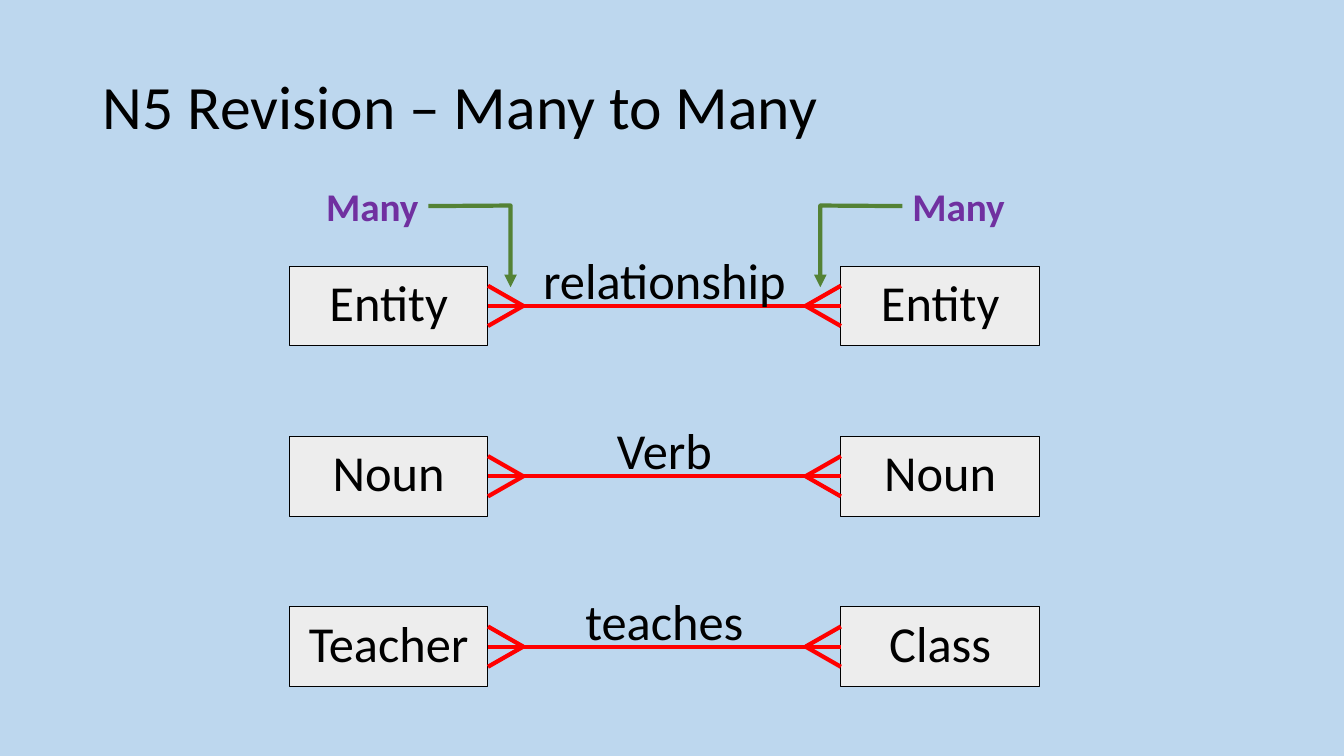
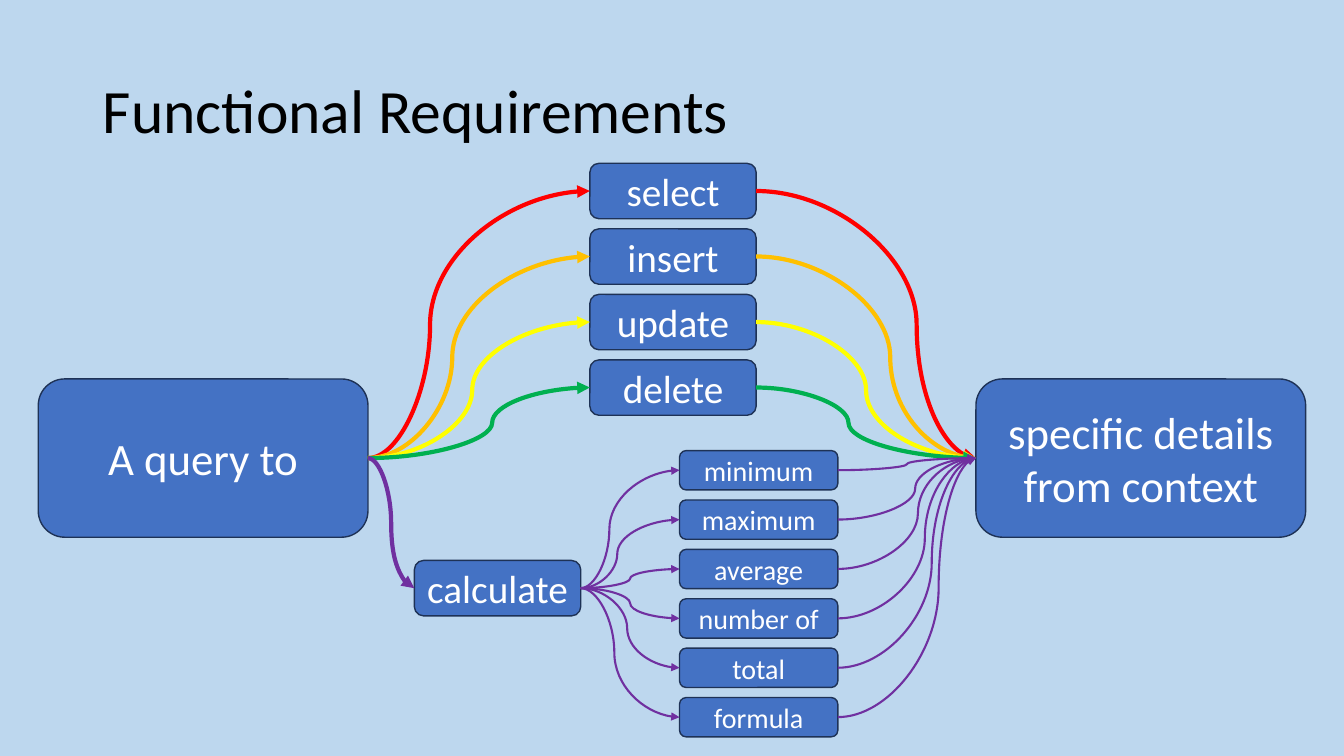
from lxml import etree
from pptx import Presentation
from pptx.dml.color import RGBColor
from pptx.enum.shapes import MSO_CONNECTOR, MSO_SHAPE
from pptx.enum.text import MSO_ANCHOR, MSO_AUTO_SIZE, PP_ALIGN
from pptx.oxml.ns import qn
from pptx.util import Inches, Pt

STRAIGHT, CURVE = MSO_CONNECTOR.STRAIGHT, MSO_CONNECTOR.CURVE
RECT, ROUND = MSO_SHAPE.RECTANGLE, MSO_SHAPE.ROUNDED_RECTANGLE
CALLOUT = MSO_SHAPE.LINE_CALLOUT_2_NO_BORDER
TOP, MIDDLE = MSO_ANCHOR.TOP, MSO_ANCHOR.MIDDLE
LEFT, CENTER, RIGHT = PP_ALIGN.LEFT, PP_ALIGN.CENTER, PP_ALIGN.RIGHT
GROW = MSO_AUTO_SIZE.SHAPE_TO_FIT_TEXT
ON_LEFT, ON_RIGHT = 1, 3

FONT = "Calibri"
COLORS = {
    "back": "BDD7EE", "black": "000000", "white": "FFFFFF",
    "grey": "EDEDED", "blue": "4472C4", "navy": "1E3256",
    "red": "FF0000", "orange": "FFC000", "yellow": "FFFF00",
    "green": "00B050", "olive": "548235", "purple": "7030A0",
}

ROWS = [
    ("Entity", "relationship", "Entity"),
    ("Noun", "Verb", "Noun"),
    ("Teacher", "teaches", "Class"),
]
VERBS = [
    ("select", "red", 0.28, 0.73),
    ("insert", "orange", 0.38, 0.61),
    ("update", "yellow", 0.47, 0.5),
    ("delete", "green", 0.56, 0.42),
]
SUMS = [
    ("minimum", 0.29, 0.5),
    ("maximum", 0.37, 0.56),
    ("average", 0.5, 0.58),
    ("number of", 0.5, 0.63),
    ("total", 0.47, 0.68),
    ("formula", 0.34, 0.73),
]


def rgb(name):
    return RGBColor.from_string(COLORS[name])


def write(shape, text, size, color="black", align=CENTER, anchor=MIDDLE,
          wrap=True, bold=False):
    frame = shape.text_frame
    frame.text = text
    frame.word_wrap = wrap
    frame.vertical_anchor = anchor
    para = frame.paragraphs[0]
    para.alignment = align
    font = para.font
    font.name, font.size, font.bold = FONT, Pt(size), bold
    font.color.rgb = rgb(color)
    return para


def stroke(item, color, width, arrow=False):
    item.line.color.rgb = rgb(color)
    item.line.width = Pt(width)
    if arrow:
        edge = item.line._get_or_add_ln()
        etree.SubElement(edge, qn("a:tailEnd"), type="triangle")


def add_title(slide, text, top):
    title = slide.shapes.title
    title.left, title.top = Inches(0.92), Inches(top)
    title.width, title.height = Inches(11.5), Inches(1.45)
    write(title, text, 44, align=LEFT).line_spacing = 0.9


def add_shape(slide, kind, box):
    shape = slide.shapes.add_shape(kind, *map(Inches, box))
    shape.shadow.inherit = False
    return shape


def add_box(slide, text, box):
    shape = add_shape(slide, RECT, box)
    shape.fill.solid()
    shape.fill.fore_color.rgb = rgb("grey")
    stroke(shape, "black", 0.75)
    write(shape, text, 36, anchor=TOP, wrap=False)
    return shape


def add_node(slide, text, size, box):
    shape = add_shape(slide, ROUND, box)
    shape.fill.solid()
    shape.fill.fore_color.rgb = rgb("blue")
    stroke(shape, "navy", 1)
    write(shape, text, size, "white")
    return shape


def add_label(slide, text, box):
    label = slide.shapes.add_textbox(*map(Inches, box))
    write(label, text, 36, anchor=TOP, wrap=False)
    label.text_frame.auto_size = GROW


def add_many(slide, left, align, flip=False):
    shape = add_shape(slide, CALLOUT, (left, 1.78, 1.18, 0.53))
    for i, value in enumerate((0.5, 0, 0.49, -0.69, 2.02, -0.69)):
        shape.adjustments[i] = value
    shape.fill.background()
    stroke(shape, "olive", 3, arrow=True)
    if flip:
        shape._element.spPr.find(qn("a:xfrm")).set("flipH", "1")
    write(shape, "Many", 28, "purple", align, bold=True)


def add_line(slide, kind, ends, color, width, arrow=False):
    line = slide.shapes.add_connector(kind, *map(Inches, ends))
    stroke(line, color, width, arrow)
    etree.SubElement(line._element.spPr, qn("a:effectLst"))
    return line


def join(line, start, end):
    line.begin_connect(start, ON_RIGHT)
    line.end_connect(end, ON_LEFT)


def add_curve(slide, start, end, color, width, bend):
    line = add_line(slide, CURVE, (0, 0, 1, 1), color, width, arrow=True)
    join(line, start, end)
    geom = line._element.spPr.find(qn("a:prstGeom"))
    guides = geom.find(qn("a:avLst"))
    if guides is None:
        guides = etree.SubElement(geom, qn("a:avLst"))
    etree.SubElement(guides, qn("a:gd"), name="adj1",
                     fmla=f"val {round(bend * 100000)}")


def add_row(slide, texts, top):
    width, height, near, far = 1.97, 0.79, 4.84, 8.34
    first, verb, last = texts
    start = add_box(slide, first, (near - width, top, width, height))
    end = add_box(slide, last, (far, top, width, height))
    mid = top + height / 2
    join(add_line(slide, STRAIGHT, (near, mid, far, mid), "red", 3),
         start, end)
    for side, tip in ((near, near + 0.35), (far, far - 0.35)):
        for rise in (-0.2, 0.2):
            add_line(slide, STRAIGHT, (tip, mid, side, mid + rise), "red", 3)
    add_label(slide, verb, (near + 0.43, top - 0.22, far - near - 0.86, 0.71))


def draw_many(slide):
    add_title(slide, "N5 Revision – Many to Many", 0.36)
    add_many(slide, 8.95, LEFT)
    add_many(slide, 3.07, RIGHT, flip=True)
    for i, texts in enumerate(ROWS):
        add_row(slide, texts, 2.64 + 1.69 * i)


def draw_needs(slide):
    add_title(slide, "Functional Requirements", 0.4)
    query = add_node(slide, "A query to", 32, (0.38, 3.76, 3.27, 1.57))
    goal = add_node(slide, "specific details from context", 32,
                    (9.68, 3.76, 3.27, 1.57))
    for i, (text, color, enter, leave) in enumerate(VERBS):
        node = add_node(slide, text, 28, (5.85, 1.62 + 0.65 * i, 1.65, 0.55))
        add_curve(slide, query, node, color, 3, enter)
        add_curve(slide, node, goal, color, 3, leave)
    total = add_node(slide, "calculate", 28, (4.11, 5.56, 1.65, 0.55))
    add_curve(slide, query, total, "purple", 3, 0.5)
    for i, (text, enter, leave) in enumerate(SUMS):
        node = add_node(slide, text, 20, (6.74, 4.47 + 0.49 * i, 1.57, 0.39))
        add_curve(slide, total, node, "purple", 1.5, enter)
        add_curve(slide, node, goal, "purple", 1.5, leave)


def main():
    deck = Presentation()
    deck.slide_width, deck.slide_height = Inches(13.33), Inches(7.5)
    fill = deck.slide_master.background.fill
    fill.solid()
    fill.fore_color.rgb = rgb("back")
    for draw in (draw_many, draw_needs):
        draw(deck.slides.add_slide(deck.slide_layouts[5]))
    deck.save("out.pptx")


if __name__ == "__main__":
    main()
